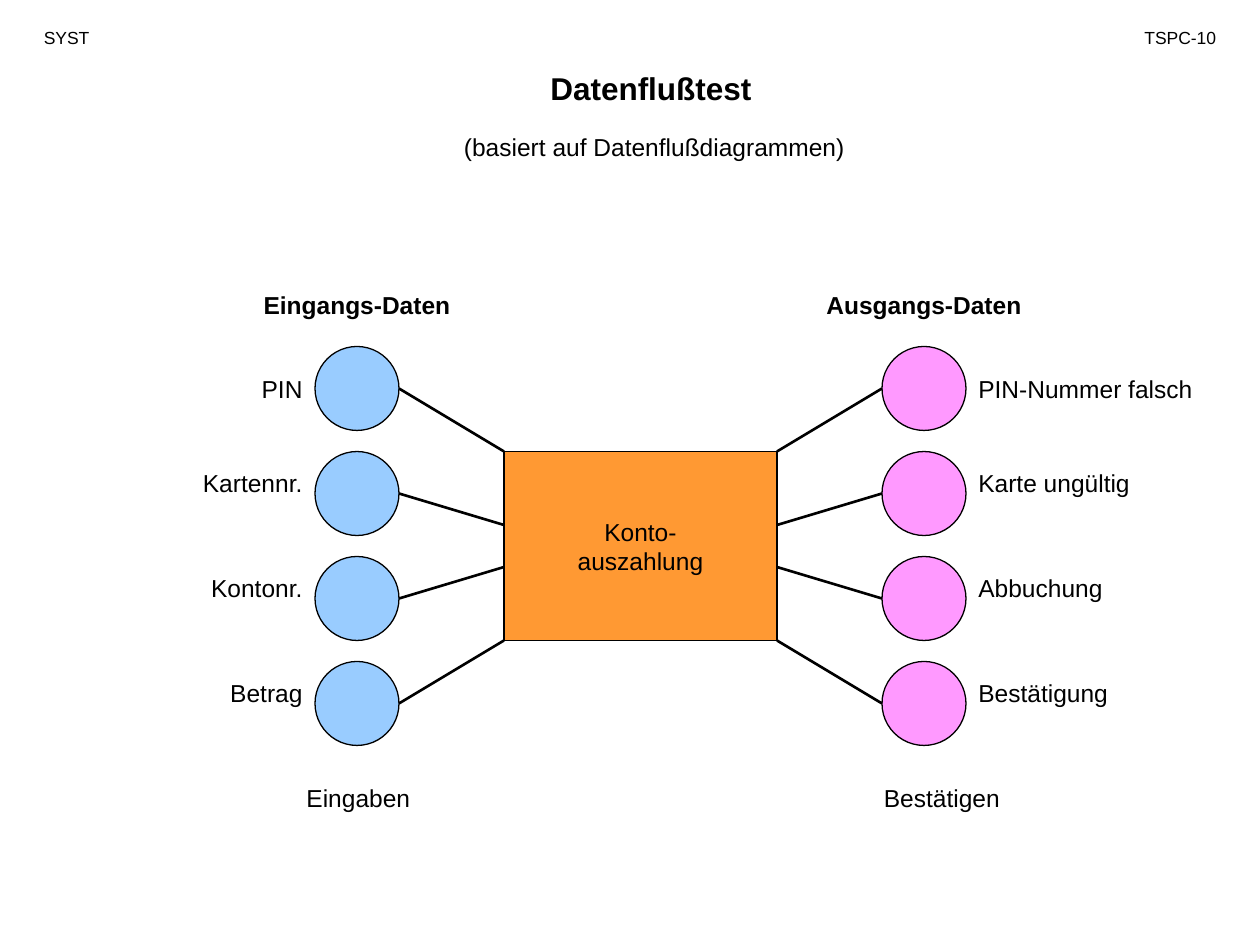
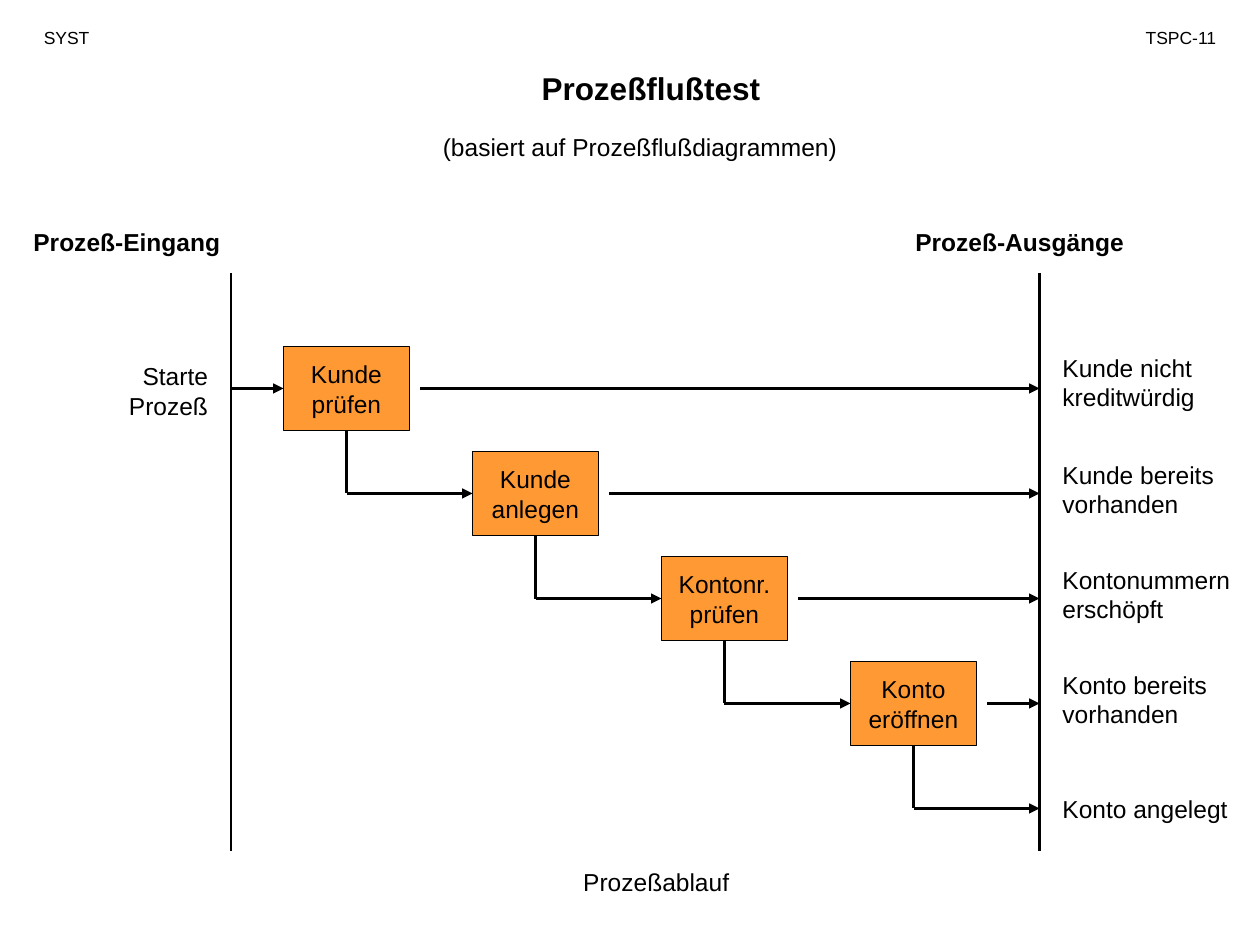
from copy import deepcopy
from dataclasses import dataclass

from lxml import etree
from pptx import Presentation
from pptx.dml.color import RGBColor
from pptx.enum.shapes import MSO_CONNECTOR, MSO_SHAPE
from pptx.enum.text import MSO_ANCHOR, MSO_AUTO_SIZE, PP_ALIGN
from pptx.oxml.ns import qn
from pptx.shapes.autoshape import Shape
from pptx.slide import Slide
from pptx.text.text import _Paragraph as Paragraph
from pptx.util import Cm, Length, Pt

LEFT, CENTER, RIGHT = PP_ALIGN.LEFT, PP_ALIGN.CENTER, PP_ALIGN.RIGHT
RECTANGLE, CIRCLE = MSO_SHAPE.RECTANGLE, MSO_SHAPE.OVAL
STRAIGHT = MSO_CONNECTOR.STRAIGHT
MIDDLE = MSO_ANCHOR.MIDDLE
NO_FIT, FIT_TEXT = MSO_AUTO_SIZE.NONE, MSO_AUTO_SIZE.SHAPE_TO_FIT_TEXT


@dataclass(frozen=True)
class Theme:
    font: str = "Arial"
    ink: RGBColor = RGBColor(0x00, 0x00, 0x00)
    process: RGBColor = RGBColor(0xFF, 0x99, 0x33)
    source: RGBColor = RGBColor(0x99, 0xCC, 0xFF)
    sink: RGBColor = RGBColor(0xFF, 0x99, 0xFF)
    title: int = 18
    body: int = 14
    header: int = 10
    outline: float = 0.75
    flow: float = 1.5


THEME = Theme()


@dataclass(frozen=True)
class Label:
    text: str
    left: float
    top: float
    width: float
    align: PP_ALIGN = LEFT
    size: int = THEME.body
    bold: bool = False


@dataclass(frozen=True)
class DataSide:
    """A column of data circles with its captions on one side of the process."""
    heading: Label
    names: tuple[str, ...]
    footer: Label
    fill: RGBColor
    circle_left: float
    label_left: float
    label_width: float
    label_align: PP_ALIGN
    circle_port: float
    process_port: float


@dataclass(frozen=True)
class Step:
    name: str
    exit: str
    exit_top: float


# All places are counted in grid units, twelve to the inch.
SLIDE_WIDTH, SLIDE_HEIGHT = 120, 90
FIRST_ROW, ROW_PITCH, ROW_HEIGHT = 33, 10, 8

PROCESS_LEFT, PROCESS_TOP, PROCESS_WIDTH, PROCESS_HEIGHT = 48, 43, 26, 18
PROCESS_RIGHT = PROCESS_LEFT + PROCESS_WIDTH
PROCESS_PORTS = (43, 50, 54, 61)
DATA_LABEL_TOPS = (35, 44, 54, 64)

DATA_SIDES = (
    DataSide(
        heading=Label("Eingangs-Daten", 23, 27, 22, CENTER, bold=True),
        names=("PIN", "Kartennr.", "Kontonr.", "Betrag"),
        footer=Label("Eingaben", 28, 74, 16),
        fill=THEME.source, circle_left=30,
        label_left=11, label_width=19, label_align=RIGHT,
        circle_port=38, process_port=PROCESS_LEFT,
    ),
    DataSide(
        heading=Label("Ausgangs-Daten", 77, 27, 22, CENTER, bold=True),
        names=("PIN-Nummer falsch", "Karte ungültig", "Abbuchung", "Bestätigung"),
        footer=Label("Bestätigen", 83, 74, 16),
        fill=THEME.sink, circle_left=84,
        label_left=92, label_width=24, label_align=LEFT,
        circle_port=84, process_port=PROCESS_RIGHT,
    ),
)

ENTRY_RAIL, EXIT_RAIL, RAIL_TOP, RAIL_BOTTOM = 22, 99, 26, 81
FIRST_STEP, STEP_PITCH, STEP_WIDTH = 27, 18, 12
EXIT_LEFT, EXIT_WIDTH = 100, 20
STEPS = (
    Step("Kunde\nprüfen", "Kunde nicht\nkreditwürdig", 33),
    Step("Kunde\nanlegen", "Kunde bereits\nvorhanden", 43.2),
    Step("Kontonr.\nprüfen", "Kontonummern\nerschöpft", 53.2),
    Step("Konto\neröffnen", "Konto bereits\nvorhanden", 63.2),
)
PROCESS_LABELS = (
    Label("Prozeß-Eingang", 2, 21, 27, bold=True),
    Label("Prozeß-Ausgänge", 86, 21, 30, bold=True),
    Label("Starte\nProzeß", 9, 33.8, 12, RIGHT),
    Label("Konto angelegt", EXIT_LEFT, 75, EXIT_WIDTH),
    Label("Prozeßablauf", 49, 82, 27, CENTER),
)


def grid(units: float) -> Length:
    return Cm(2.54 * units / 12)


def format_paragraph(paragraph: Paragraph, align: PP_ALIGN, size: int, bold: bool = False) -> None:
    paragraph.alignment = align
    for run in paragraph.runs:
        run.font.name = THEME.font
        run.font.size = Pt(size)
        run.font.bold = bold
        run.font.color.rgb = THEME.ink
    for line_break in paragraph._p.findall(qn("a:br")):
        line_break.append(deepcopy(paragraph.runs[0]._r.rPr))


def add_label(slide: Slide, label: Label) -> None:
    lines = label.text.count("\n") + 1
    height = lines * label.size / 5 + 1.2
    box = slide.shapes.add_textbox(
        grid(label.left), grid(label.top), grid(label.width), grid(height))
    frame = box.text_frame
    frame.word_wrap = True
    frame.auto_size = FIT_TEXT
    paragraph = frame.paragraphs[0]
    paragraph.text = label.text
    format_paragraph(paragraph, label.align, label.size, label.bold)


def add_node(slide: Slide, kind: MSO_SHAPE, left: float, top: float,
             width: float, height: float, fill: RGBColor) -> Shape:
    node = slide.shapes.add_shape(kind, grid(left), grid(top), grid(width), grid(height))
    node.shadow.inherit = False
    node.fill.solid()
    node.fill.fore_color.rgb = fill
    node.line.color.rgb = THEME.ink
    node.line.width = Pt(THEME.outline)
    return node


def add_process(slide: Slide, text: str, left: float, top: float,
                width: float, height: float) -> None:
    frame = add_node(slide, RECTANGLE, left, top, width, height, THEME.process).text_frame
    frame.text = text
    frame.word_wrap = False
    frame.auto_size = NO_FIT
    frame.vertical_anchor = MIDDLE
    for paragraph in frame.paragraphs:
        format_paragraph(paragraph, CENTER, THEME.body)


def add_flow(slide: Slide, x1: float, y1: float, x2: float, y2: float,
             arrow: bool = False) -> None:
    flow = slide.shapes.add_connector(STRAIGHT, grid(x1), grid(y1), grid(x2), grid(y2))
    flow.line.color.rgb = THEME.ink
    flow.line.width = Pt(THEME.flow)
    if arrow:
        etree.SubElement(flow.line._get_or_add_ln(), qn("a:tailEnd"), type="triangle")
    etree.SubElement(flow._element.spPr, qn("a:effectLst"))


def add_page(deck: Presentation, number: str, title: str, subtitle: Label) -> Slide:
    """Add a blank slide with the shared header, title and subtitle."""
    slide = deck.slides.add_slide(deck.slide_layouts[6])
    add_label(slide, Label(title, 26, 6, 72, CENTER, THEME.title, bold=True))
    add_label(slide, Label("SYST", 3, 2, 11, size=THEME.header))
    add_label(slide, Label(number, 105, 2, 12, RIGHT, THEME.header))
    add_label(slide, subtitle)
    return slide


def add_data_side(slide: Slide, side: DataSide) -> None:
    add_label(slide, side.heading)
    rows = zip(side.names, DATA_LABEL_TOPS, PROCESS_PORTS)
    for row, (name, label_top, port) in enumerate(rows):
        top = FIRST_ROW + row * ROW_PITCH
        add_node(slide, CIRCLE, side.circle_left, top, ROW_HEIGHT, ROW_HEIGHT, side.fill)
        add_flow(slide, side.process_port, port, side.circle_port, top + ROW_HEIGHT / 2)
        add_label(slide, Label(name, side.label_left, label_top,
                               side.label_width, side.label_align))
    add_label(slide, side.footer)


def add_step(slide: Slide, index: int, step: Step) -> None:
    """Draw a process step, its exit, and the elbow leading to what follows."""
    left = FIRST_STEP + index * STEP_PITCH
    top = FIRST_ROW + index * ROW_PITCH
    center_x, center_y = left + STEP_WIDTH / 2, top + ROW_HEIGHT / 2
    next_y = center_y + ROW_PITCH
    add_process(slide, step.name, left, top, STEP_WIDTH, ROW_HEIGHT)
    add_flow(slide, center_x, top + ROW_HEIGHT, center_x, next_y)
    add_flow(slide, center_x, next_y, left + STEP_PITCH, next_y, arrow=True)
    add_flow(slide, left + STEP_WIDTH + 1, center_y, EXIT_RAIL, center_y, arrow=True)
    add_label(slide, Label(step.exit, EXIT_LEFT, step.exit_top, EXIT_WIDTH))


def build_data_flow(deck: Presentation) -> None:
    slide = add_page(deck, "TSPC-10", "Datenflußtest",
                     Label("(basiert auf Datenflußdiagrammen)", 43, 12, 39))
    add_process(slide, "Konto-\nauszahlung", PROCESS_LEFT, PROCESS_TOP,
                PROCESS_WIDTH, PROCESS_HEIGHT)
    for side in DATA_SIDES:
        add_data_side(slide, side)


def build_process_flow(deck: Presentation) -> None:
    slide = add_page(deck, "TSPC-11", "Prozeßflußtest",
                     Label("(basiert auf Prozeßflußdiagrammen)", 41, 12, 47))
    for rail in (ENTRY_RAIL, EXIT_RAIL):
        add_flow(slide, rail, RAIL_TOP, rail, RAIL_BOTTOM)
    entry_y = FIRST_ROW + ROW_HEIGHT / 2
    add_flow(slide, ENTRY_RAIL, entry_y, FIRST_STEP, entry_y, arrow=True)
    for index, step in enumerate(STEPS):
        add_step(slide, index, step)
    for label in PROCESS_LABELS:
        add_label(slide, label)


def main() -> None:
    deck = Presentation()
    deck.slide_width, deck.slide_height = grid(SLIDE_WIDTH), grid(SLIDE_HEIGHT)
    build_data_flow(deck)
    build_process_flow(deck)
    deck.save("out.pptx")


if __name__ == "__main__":
    main()
